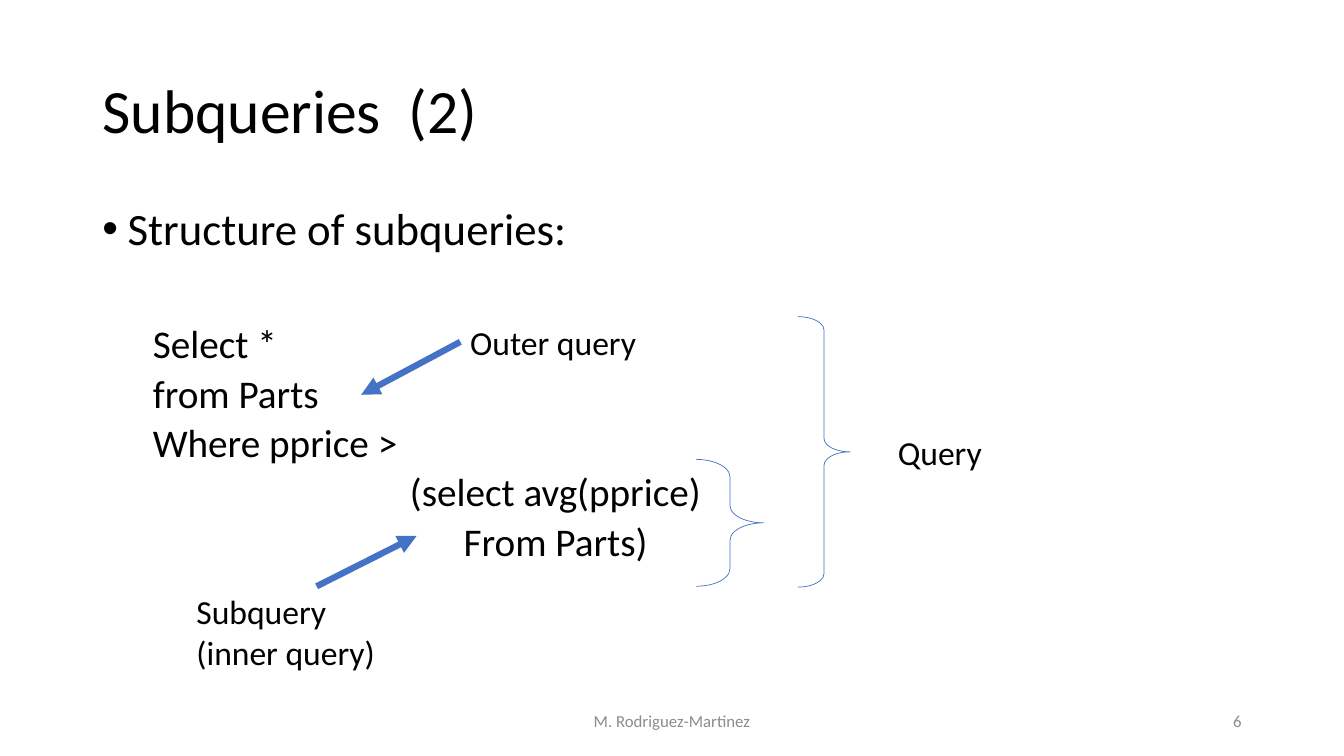
from lxml.etree import SubElement
from pptx import Presentation
from pptx.dml.color import RGBColor
from pptx.enum.shapes import MSO_CONNECTOR, MSO_SHAPE
from pptx.enum.text import MSO_ANCHOR, MSO_AUTO_SIZE, PP_ALIGN
from pptx.oxml.ns import qn
from pptx.util import Inches, Pt

BLACK = RGBColor(0x00, 0x00, 0x00)
GRAY = RGBColor(0x8C, 0x8C, 0x8C)
BLUE = RGBColor(0x44, 0x72, 0xC4)

SLIDE_WIDTH, SLIDE_HEIGHT = Inches(13.333), Inches(7.5)
COLUMNS, ROWS = 160, 90

QUERY_LINES = [
    ("Select *", 6, 50),
    ("from Parts", 6, 5),
    ("Where pprice >", 6, 5),
    ("(select avg(pprice)", 36.6, 5),
    ("From Parts)", 43, 5),
]
BRACES = [(82.9, 54.7, 8, 15.1), (95, 37.7, 6.2, 32.2)]


def column(count):
    return int(SLIDE_WIDTH * count / COLUMNS)


def row(count):
    return int(SLIDE_HEIGHT * count / ROWS)


def cells(left, top, width, height):
    return column(left), row(top), column(width), row(height)


def apply_format(target, values):
    for name, value in values.items():
        setattr(target, name, value)


def write_paragraph(paragraph, text, size, color=BLACK, **values):
    run = paragraph.add_run()
    run.text = text
    apply_format(run.font, {"name": "Calibri", "size": Pt(size)})
    run.font.color.rgb = color
    apply_format(paragraph, values)


def set_bullet(paragraph, margin, indent=0, character=None):
    properties = paragraph._p.get_or_add_pPr()
    properties.set("marL", str(column(margin)))
    properties.set("indent", str(column(indent)))
    if character:
        SubElement(properties, qn("a:buFont"), typeface="Arial")
        SubElement(properties, qn("a:buChar"), char=character)
    else:
        SubElement(properties, qn("a:buNone"))


def place(shape, area):
    apply_format(shape, dict(zip(("left", "top", "width", "height"), cells(*area))))


def fill_title(title):
    place(title, (11, 4.8, 138, 17.4))
    apply_format(title.text_frame, {
        "vertical_anchor": MSO_ANCHOR.MIDDLE, "auto_size": MSO_AUTO_SIZE.NONE})
    write_paragraph(title.text_frame.paragraphs[0], "Subqueries  (2)", 44,
                    alignment=PP_ALIGN.LEFT, line_spacing=0.9)


def fill_body(body):
    place(body, (11, 24, 138, 57.1))
    frame = body.text_frame
    frame.auto_size = MSO_AUTO_SIZE.NONE
    heading = frame.paragraphs[0]
    write_paragraph(heading, "Structure of subqueries:", 32,
                    line_spacing=0.9, space_before=Pt(10))
    set_bullet(heading, 3, -3, "•")
    for text, margin, space in QUERY_LINES:
        paragraph = frame.add_paragraph()
        write_paragraph(paragraph, text, 28, level=1,
                        line_spacing=0.9, space_before=Pt(space))
        set_bullet(paragraph, margin)


def add_label(slide, area, *lines):
    label = slide.shapes.add_textbox(*cells(*area))
    frame = label.text_frame
    apply_format(frame, {"word_wrap": False, "auto_size": MSO_AUTO_SIZE.SHAPE_TO_FIT_TEXT})
    for index, text in enumerate(lines):
        paragraph = frame.add_paragraph() if index else frame.paragraphs[0]
        write_paragraph(paragraph, text, 24)
    return label


def add_footer(slide, left, width, text, alignment):
    footer = slide.shapes.add_textbox(*cells(left, 83.4, width, 4.8))
    frame = footer.text_frame
    apply_format(frame, {"word_wrap": True, "vertical_anchor": MSO_ANCHOR.MIDDLE})
    write_paragraph(frame.paragraphs[0], text, 12, GRAY, alignment=alignment)


def add_brace(slide, area):
    brace = slide.shapes.add_shape(MSO_SHAPE.RIGHT_BRACE, *cells(*area))
    brace.shadow.inherit = False
    brace.fill.background()
    brace.line.color.rgb = BLUE
    brace.line.width = Pt(0.5)
    brace.adjustments[0] = 0.26


def add_arrow(slide, start, end):
    arrow = slide.shapes.add_connector(
        MSO_CONNECTOR.STRAIGHT, column(start[0]), row(start[1]), column(end[0]), row(end[1]))
    arrow.line.color.rgb = BLUE
    arrow.line.width = Pt(4.5)
    SubElement(arrow.line._get_or_add_ln(), qn("a:tailEnd"), type="triangle")
    SubElement(arrow._element.spPr, qn("a:effectLst"))
    return arrow


def main():
    presentation = Presentation()
    apply_format(presentation, {"slide_width": SLIDE_WIDTH, "slide_height": SLIDE_HEIGHT})
    slide = presentation.slides.add_slide(presentation.slide_layouts[1])
    fill_title(slide.shapes.title)
    fill_body(slide.placeholders[1])
    add_footer(slide, 53, 54, "M. Rodriguez-Martinez", PP_ALIGN.CENTER)
    add_footer(slide, 113, 36, "6", PP_ALIGN.RIGHT)
    for area in BRACES:
        add_brace(slide, area)
    add_label(slide, (22.2, 69.8, 23.9, 10.9), "Subquery", "(inner query)")
    add_arrow(slide, (37.7, 69.8), (49.6, 63.8))
    outer_query = add_label(slide, (54.8, 37.7, 22.4, 6), "Outer query")
    add_arrow(slide, (54.8, 40.7), (43, 47)).begin_connect(outer_query, 1)
    add_label(slide, (105.7, 50.8, 12.5, 6), "Query")
    presentation.save("out.pptx")


if __name__ == "__main__":
    main()
